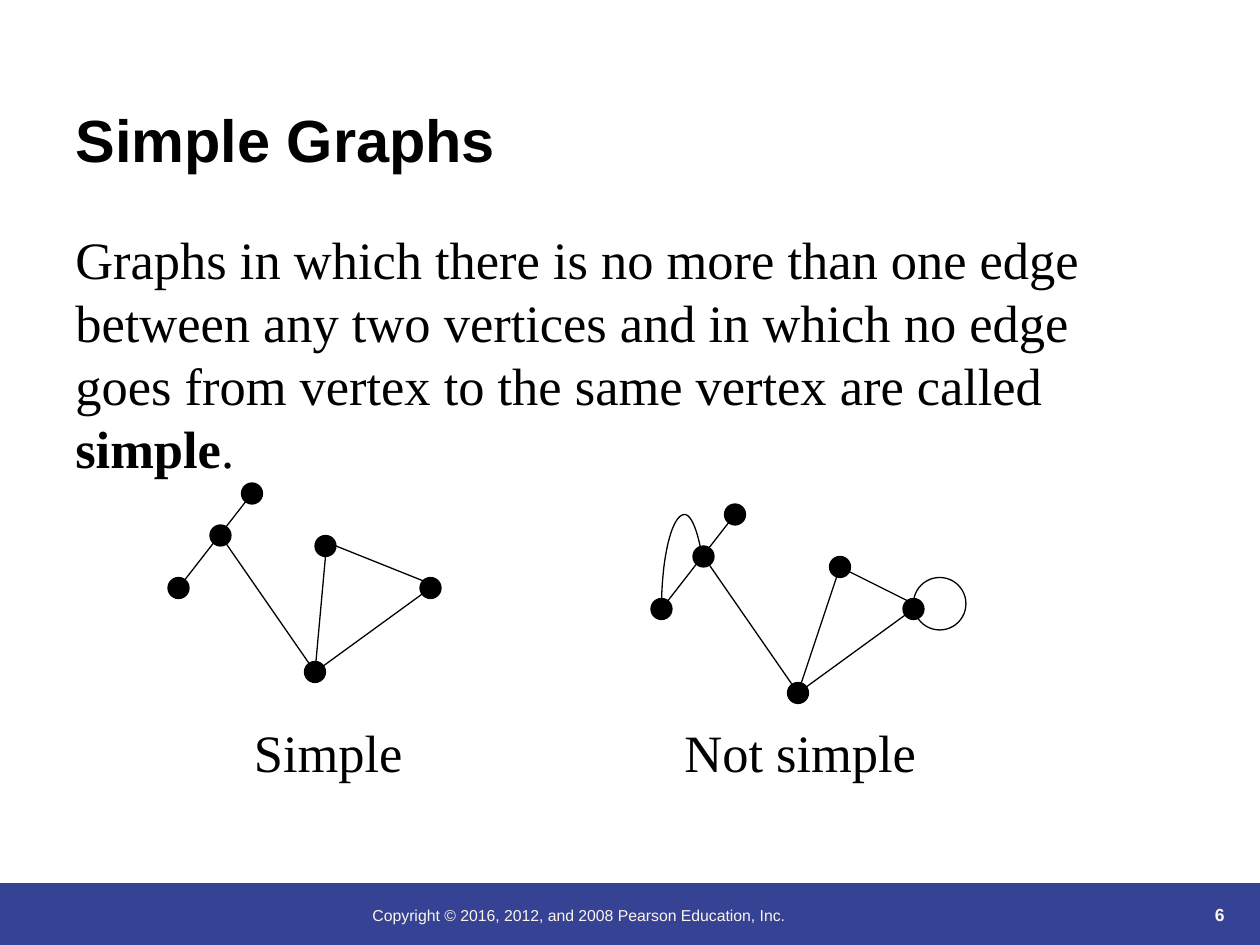
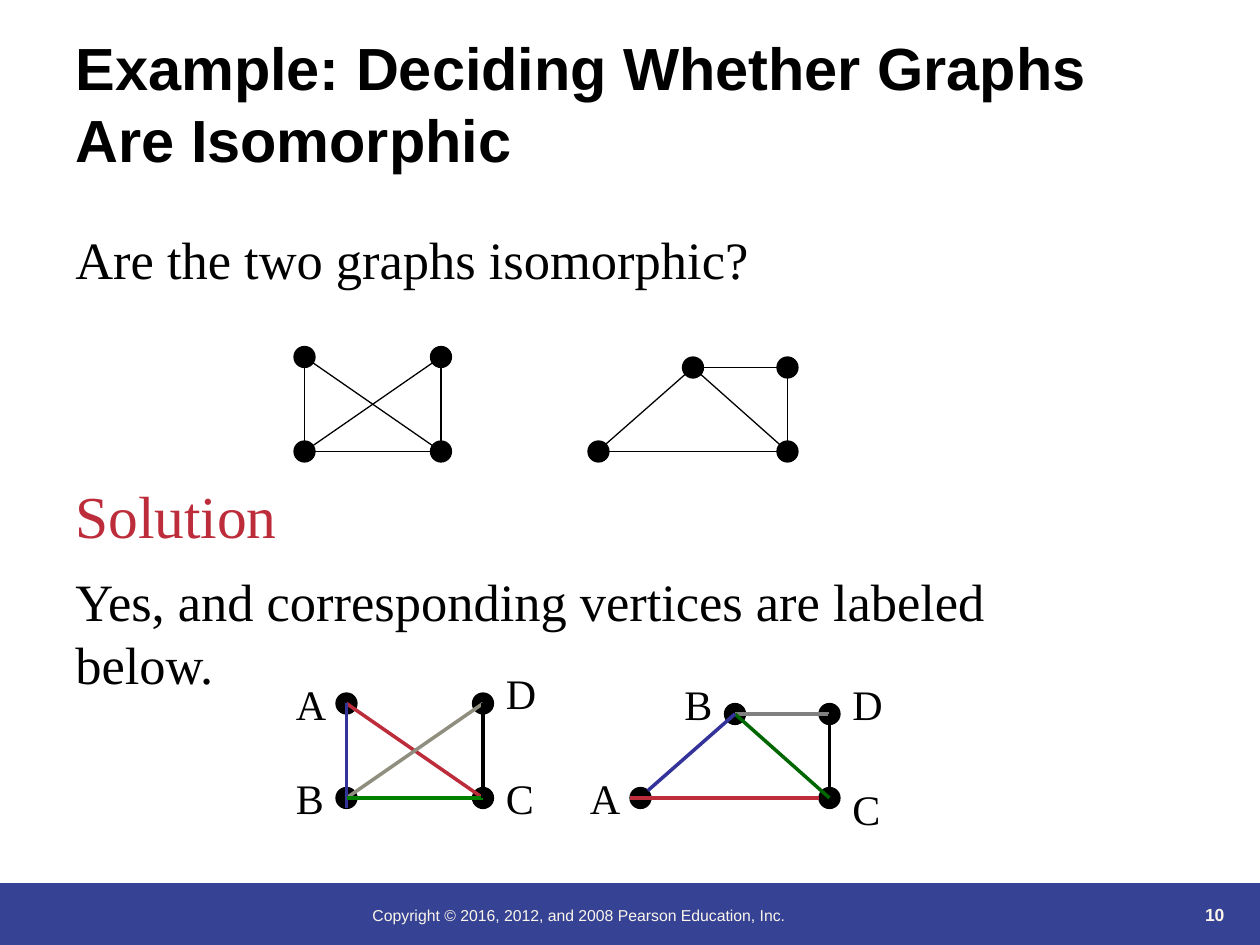
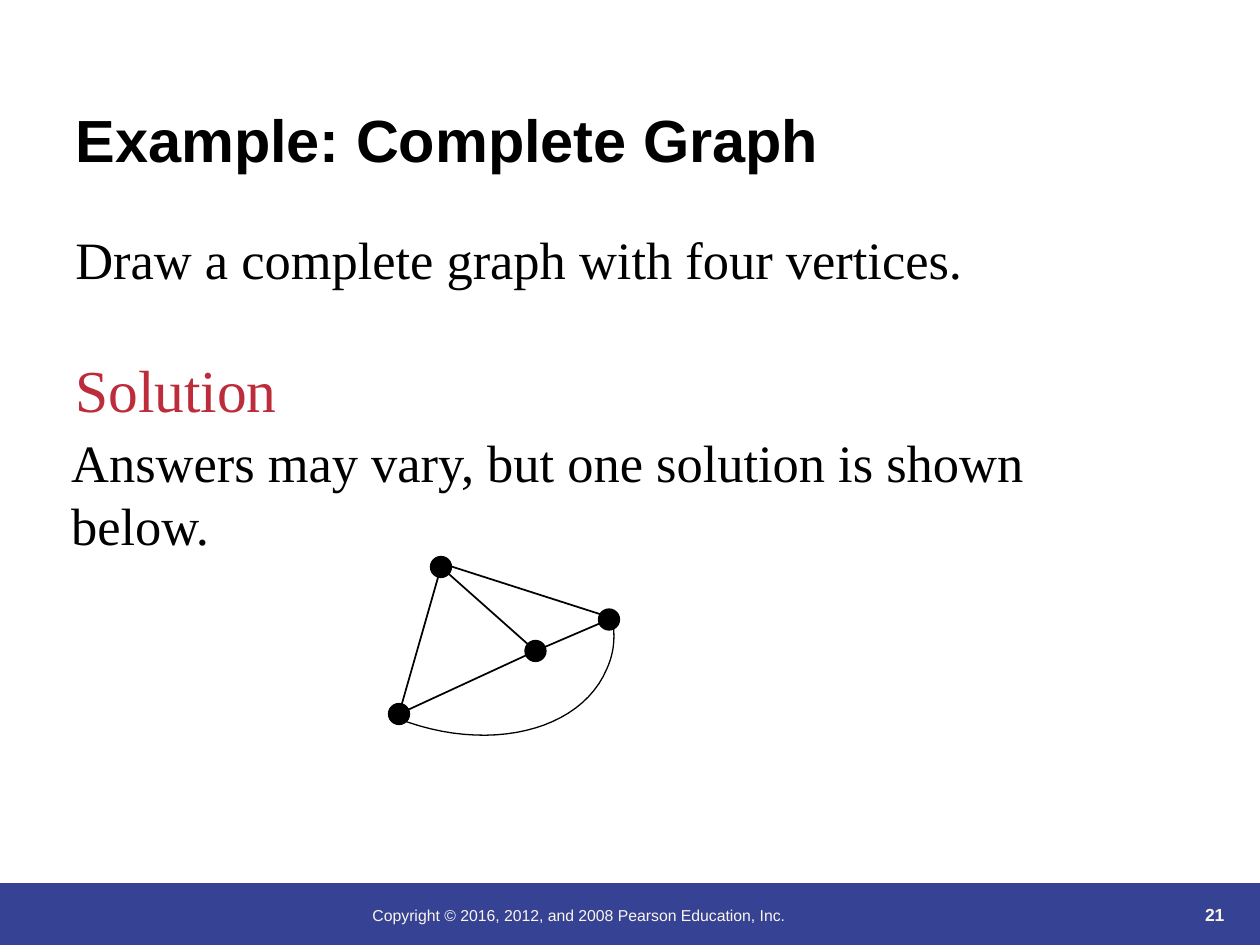
from dataclasses import dataclass

from lxml.etree import SubElement
from pptx import Presentation
from pptx.dml.color import RGBColor
from pptx.enum.shapes import MSO_CONNECTOR, MSO_SHAPE
from pptx.enum.text import MSO_ANCHOR, MSO_AUTO_SIZE, PP_ALIGN
from pptx.oxml.ns import qn
from pptx.util import Emu, Pt

SCALE = 7620  # EMU in one px, 120 px to the inch
DOT = 20      # width of a vertex


@dataclass(frozen=True)
class Theme:
    ink: str = "000000"
    band: str = "364395"
    pale: str = "FBF5EA"
    red: str = "BC2C3A"
    blue: str = "333399"
    green: str = "008000"
    dark: str = "006600"
    gray: str = "808080"
    sand: str = "8F8E7F"
    sans: str = "Arial"
    serif: str = "Times New Roman"
    head: int = 34
    body: int = 30
    label: int = 24
    page: int = 10
    foot: int = 9
    lead: float = 1.2
    thin: float = 0.75
    mid: float = 1
    thick: float = 2


T = Theme()


def px(*nums):
    return [Emu(round(n * SCALE)) for n in nums]


def tint(name):
    return RGBColor.from_string(name)


# Text
def style(frame, size, face, color=T.ink, bold=False,
          align=PP_ALIGN.LEFT, anchor=MSO_ANCHOR.TOP):
    frame.word_wrap = True
    frame.auto_size = MSO_AUTO_SIZE.NONE
    frame.vertical_anchor = anchor
    para = frame.paragraphs[0]
    para.alignment = align
    para.line_spacing = Pt(size * T.lead)
    font = para.font
    font.size, font.name, font.bold = Pt(size), face, bold
    font.color.rgb = tint(color)


def write(slide, text, box, size=T.body, face=T.serif, **look):
    """Put text in a box; pieces between asterisks are bold."""
    frame = slide.shapes.add_textbox(*px(*box)).text_frame
    for i, part in enumerate(text.split("*")):
        run = frame.paragraphs[0].add_run()
        run.text = part
        if i % 2:
            run.font.bold = True
    style(frame, size, face, **look)


def solve(slide, top, width):
    write(slide, "Solution", (60, top, width, 80), T.head, color=T.red)


# Shapes
def paint(shape, fill=None, line=None):
    shape.shadow.inherit = False
    if fill:
        shape.fill.solid()
        shape.fill.fore_color.rgb = tint(fill)
    else:
        shape.fill.background()
    if line:
        shape.line.color.rgb = tint(line)
        shape.line.width = Pt(T.thin)
    else:
        shape.line.fill.background()


def ring(slide, mid, size, fill=None):
    x, y = mid
    box = px(x - size / 2, y - size / 2, size, size)
    paint(slide.shapes.add_shape(MSO_SHAPE.OVAL, *box), fill, T.ink)


def edge(slide, start, end, color, width):
    line = slide.shapes.add_connector(
        MSO_CONNECTOR.STRAIGHT, *px(*start, *end))
    line.line.color.rgb = tint(color)
    line.line.width = Pt(width)
    SubElement(line._element.spPr, qn("a:effectLst"))


def graph(slide, nodes, edges, shift=(0, 0), colors=None, width=T.thin):
    """Draw vertices, then edges whose ends are vertex names or points."""
    def move(end):
        x, y = nodes.get(end, end)
        return x + shift[0], y + shift[1]

    for name in nodes:
        ring(slide, move(name), DOT, T.ink)
    for pair, color in zip(edges, colors or [T.ink] * len(edges)):
        edge(slide, *map(move, pair), color, width)


def curve(slide, start, *bends, steps=24):
    """Draw joined cubic curves, each bend given as three points."""
    dots = [start]
    for bend in bends:
        ends = (dots[-1], *bend)
        for i in range(1, steps + 1):
            t = i / steps
            u = 1 - t
            parts = (u ** 3, 3 * u * u * t, 3 * u * t * t, t ** 3)
            dots.append(tuple(sum(p * e[k] for p, e in zip(parts, ends))
                              for k in (0, 1)))
    first, *rest = [px(*dot) for dot in dots]
    pen = slide.shapes.build_freeform(*first)
    pen.add_line_segments(rest, close=False)
    paint(pen.convert_to_shape(), line=T.ink)


# Shared frame
def start(deck, title, page):
    slide = deck.slides.add_slide(deck.slide_layouts.get_by_name("Title Only"))
    band = slide.shapes.add_shape(MSO_SHAPE.RECTANGLE, *px(0, 841, 1200, 59))
    paint(band, T.band)
    write(slide, "Copyright © 2016, 2012, and 2008 Pearson Education, Inc.",
          (343, 857, 590, 40), T.foot, T.sans, color=T.pale)
    write(slide, str(page), (1068, 827, 110, 60), T.page, T.sans,
          color=T.pale, bold=True, align=PP_ALIGN.RIGHT,
          anchor=MSO_ANCHOR.BOTTOM)
    head = slide.shapes.title
    head.left, head.top, head.width, head.height = px(60, 22, 1080, 150)
    head.text_frame.text = title
    style(head.text_frame, T.head, T.sans, bold=True,
          anchor=MSO_ANCHOR.BOTTOM)
    return slide


# Slides
def simple(deck):
    slide = start(deck, "Simple Graphs", 6)
    write(slide, "Graphs in which there is no more than one edge between any "
          "two vertices and in which no edge goes from vertex to the same "
          "vertex are called *simple*.", (60, 210, 1010, 252))
    graph(slide,
          {"tip": (240, 470), "hub": (210, 510), "tail": (170, 560),
           "low": (300, 640), "top": (310, 520), "end": (410, 560)},
          [("hub", "low"), ("low", (310, 530)), ((320, 520), (420, 560)),
           ("end", "low"), ("tip", "tail")])
    graph(slide,
          {"tip": (700, 490), "hub": (670, 530), "tail": (630, 580),
           "low": (760, 660), "top": (800, 540), "end": (870, 580)},
          [("hub", "low"), ("low", "top"), ("top", (880, 580)),
           ("end", "low"), ("tip", "tail")])
    curve(slide, (670, 539), ((666, 509), (659, 490), (652, 490)),
          ((640, 490), (630, 530), (630, 580)))
    ring(slide, (895, 575), 50)
    for text, left in (("Simple", 230), ("Not simple", 640)):
        write(slide, text, (left, 680, 300, 72))


def match(deck):
    slide = start(deck, "Example: Deciding Whether Graphs Are Isomorphic", 10)
    write(slide, "Are the two graphs isomorphic?", (60, 210, 960, 72))
    solve(slide, 450, 570)
    write(slide, "Yes, and corresponding vertices are labeled below.",
          (60, 536, 930, 132))

    cross = ({"A": (290, 340), "B": (290, 430),
              "C": (420, 430), "D": (420, 340)},
             [("A", "C"), ("B", "D"), ("A", (290, 440)),
              ("B", "C"), ("C", "D")])
    flat = ({"A": (570, 430), "B": (660, 350),
             "C": (750, 430), "D": (750, 350)},
            [("B", "D"), ("D", "C"), ("C", "B"),
             ("B", (577, 423)), ((560, 430), (740, 430))])
    hues = ([T.red, T.sand, T.blue, T.green, T.ink],
            [T.gray, T.ink, T.dark, T.blue, T.red])
    for form, colors in zip((cross, flat), hues):
        graph(slide, *form)
        graph(slide, *form, (40, 330), colors, T.thick)

    marks = [("A", 270, 640), ("B", 270, 730), ("C", 470, 730),
             ("D", 470, 630), ("A", 550, 730), ("B", 640, 640),
             ("C", 800, 740), ("D", 800, 640)]
    for text, left, top in marks:
        write(slide, text, (left, top, 80, 60), T.label)


def full(deck):
    slide = start(deck, "Example: Complete Graph", 21)
    write(slide, "Draw a complete graph with four vertices.",
          (60, 210, 970, 72))
    solve(slide, 330, 810)
    write(slide, "Answers may vary, but one solution is shown below.",
          (56, 404, 980, 132))
    graph(slide,
          {"top": (420, 540), "right": (580, 590),
           "mid": (510, 620), "left": (380, 680)},
          [((419, 536), (578, 587)), ("right", "mid"), ("mid", "top"),
           ("top", "left"), ("left", "mid")], width=T.mid)
    curve(slide, (584, 595), ((586, 610), (584, 624), (578, 637)),
          ((553, 697), (464, 718), (378, 684)))


def main():
    deck = Presentation()
    deck.slide_width, deck.slide_height = px(1200, 900)
    for build in (simple, match, full):
        build(deck)
    deck.save("out.pptx")


if __name__ == "__main__":
    main()
